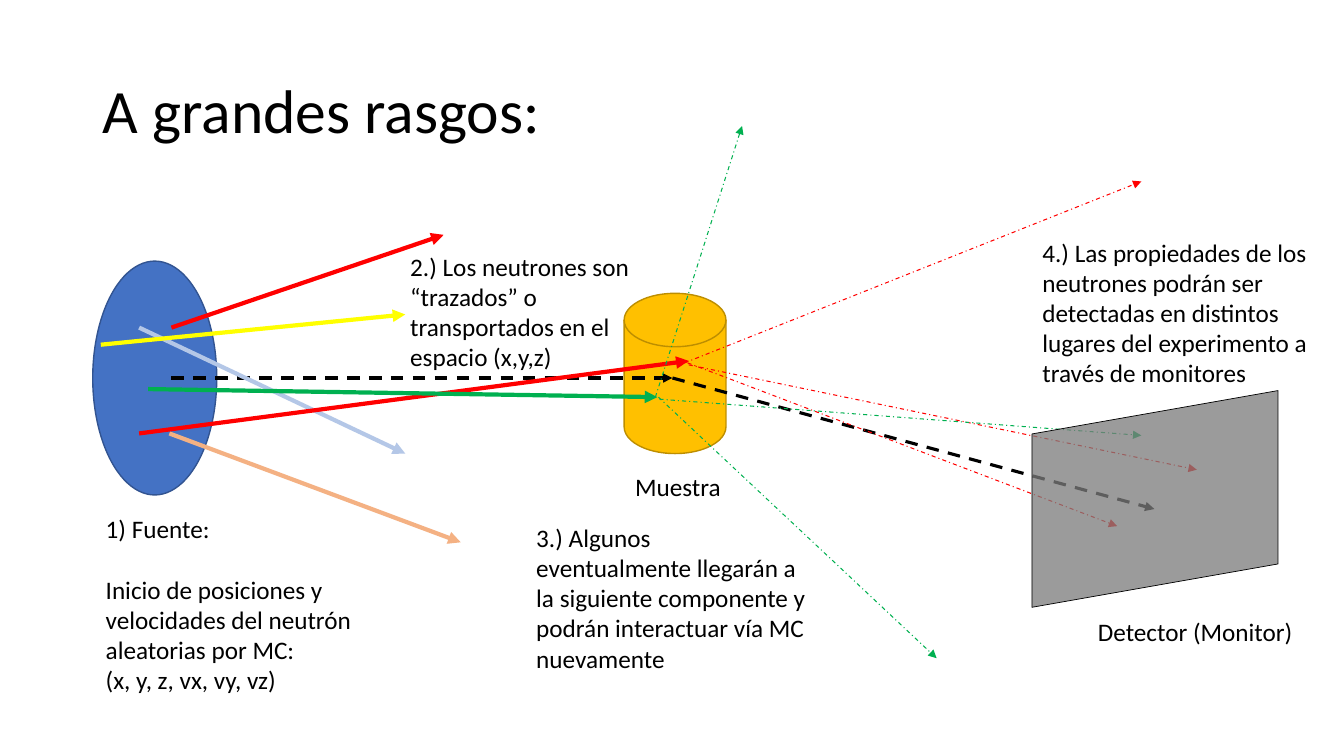
import pptx
import pptx.util
import pptx.dml.color
import pptx.enum.dml
import pptx.enum.shapes
import pptx.enum.text
import pptx.oxml
import pptx.oxml.ns

PX = 9144  # 100 px to the inch
Pt = pptx.util.Pt
Shape = pptx.enum.shapes.MSO_SHAPE
Dash = pptx.enum.dml.MSO_LINE
Text = pptx.enum.text
qn = pptx.oxml.ns.qn


def paint(fmt, color):
    fmt.solid()
    fmt.fore_color.rgb = pptx.dml.color.RGBColor.from_string(color)


def add_tag(parent, tag, **attrs):
    """Append a DrawingML element to parent."""
    item = pptx.oxml.parse_xml(f"<a:{tag} {pptx.oxml.ns.nsdecls('a')}/>")
    for key, value in attrs.items():
        item.set(key, value)
    parent.append(item)


deck = pptx.Presentation()
deck.slide_width, deck.slide_height = 1333 * PX, 750 * PX
slide = deck.slides.add_slide(deck.slide_layouts[5])
shapes = slide.shapes

title = shapes.title
title.left, title.top, title.width, title.height = [n * PX for n in (92, 40, 1150, 145)]
title.text_frame.text = "A grandes rasgos:"
title.text_frame.vertical_anchor = Text.MSO_ANCHOR.MIDDLE
head = title.text_frame.paragraphs[0]
head.alignment = Text.PP_ALIGN.LEFT
head.line_spacing = 0.9
head.font.size, head.font.name = Pt(44), "Calibri"
paint(head.font.fill, "000000")

# Sample, source and detector; the detector, made last, covers the rays
for kind, box, fill, edge, width in (
    (Shape.FLOWCHART_MAGNETIC_DISK, (619, 291, 101, 159), "FFC000", "BD8E00", 1),
    (Shape.OVAL, (92, 259, 123, 232), "4472C4", "325491", 1),
    (Shape.FLOWCHART_DATA, (1038, 373, 215, 244), "7C7C7C", "000000", 0.5),
):
    body = shapes.add_shape(kind, *[n * PX for n in box])
    body.shadow.inherit = False
    paint(body.fill, fill)
    paint(body.line.fill, edge)
    body.line.width = Pt(width)

panel = body
panel.rotation = 270
panel._element.spPr.find(qn("a:xfrm")).set("flipV", "1")
tint = panel._element.spPr.find(qn("a:solidFill")).find(qn("a:srgbClr"))
add_tag(tint, "alpha", val="76000")

BLACK, RED, GREEN = "000000", "FF0000", "00B050"
main = (2.25, Dash.DASH)
beam = (3, Dash.SOLID)
thin = (0.75, Dash.DASH_DOT)
rays = (
    (170, 375, 667, 375, BLACK, main),
    (170, 325, 440, 233, RED, beam),
    (168, 430, 457, 538, "F4B183", beam),
    (138, 325, 402, 450, "B4C7E7", beam),
    (138, 430, 683, 358, RED, beam),
    (100, 342, 402, 312, "FFFF00", beam),
    (147, 386, 652, 394, GREEN, beam),
    (667, 375, 1145, 505, BLACK, main),
    (682, 360, 1108, 522, RED, thin),
    (683, 362, 1187, 466, RED, thin),
    (679, 360, 1132, 180, RED, thin),
    (653, 394, 929, 653, GREEN, thin),
    (654, 396, 1132, 432, GREEN, thin),
    (650, 394, 736, 125, GREEN, thin),
)
for *ends, color, (width, dash) in rays:
    ray = shapes.add_connector(
        pptx.enum.shapes.MSO_CONNECTOR.STRAIGHT, *[n * PX for n in ends])
    paint(ray.line.fill, color)
    ray.line.width = Pt(width)
    ray.line.dash_style = dash
    add_tag(ray._element.spPr.find(qn("a:ln")), "tailEnd", type="triangle")
    add_tag(ray._element.spPr, "effectLst")
    panel._element.addprevious(ray._element)

notes = (
    ((1079, 607, 215, 40), False, ["Detector (Monitor)"]),
    ((620, 463, 106, 40), False, ["Muestra"]),
    ((95, 504, 289, 192), True, [
        "1) Fuente:",
        "Inicio de posiciones y velocidades del neutrón aleatorias por MC:",
        "(x, y, z, vx, vy, vz)"]),
    ((397, 244, 238, 131), True, [
        "2.) Los neutrones son “trazados” o transportados en el espacio (x,y,z)"]),
    ((522, 513, 289, 162), True, [
        "3.) Algunos eventualmente llegarán a la siguiente componente y "
        "podrán interactuar vía MC nuevamente"]),
    ((1024, 230, 300, 162), True, [
        "4.) Las propiedades de los neutrones podrán ser detectadas en "
        "distintos lugares del experimento a través de monitores"]),
)
for box, wrap, lines in notes:
    frame = shapes.add_textbox(*[n * PX for n in box]).text_frame
    frame.word_wrap = wrap
    frame.auto_size = Text.MSO_AUTO_SIZE.SHAPE_TO_FIT_TEXT
    frame.text = "\n".join(lines)
    for para in frame.paragraphs:
        para.font.size, para.font.name = Pt(18), "Calibri"
        paint(para.font.fill, "000000")
        if para.text == "1) Fuente:":
            para.space_after = Pt(22)

deck.save("out.pptx")
